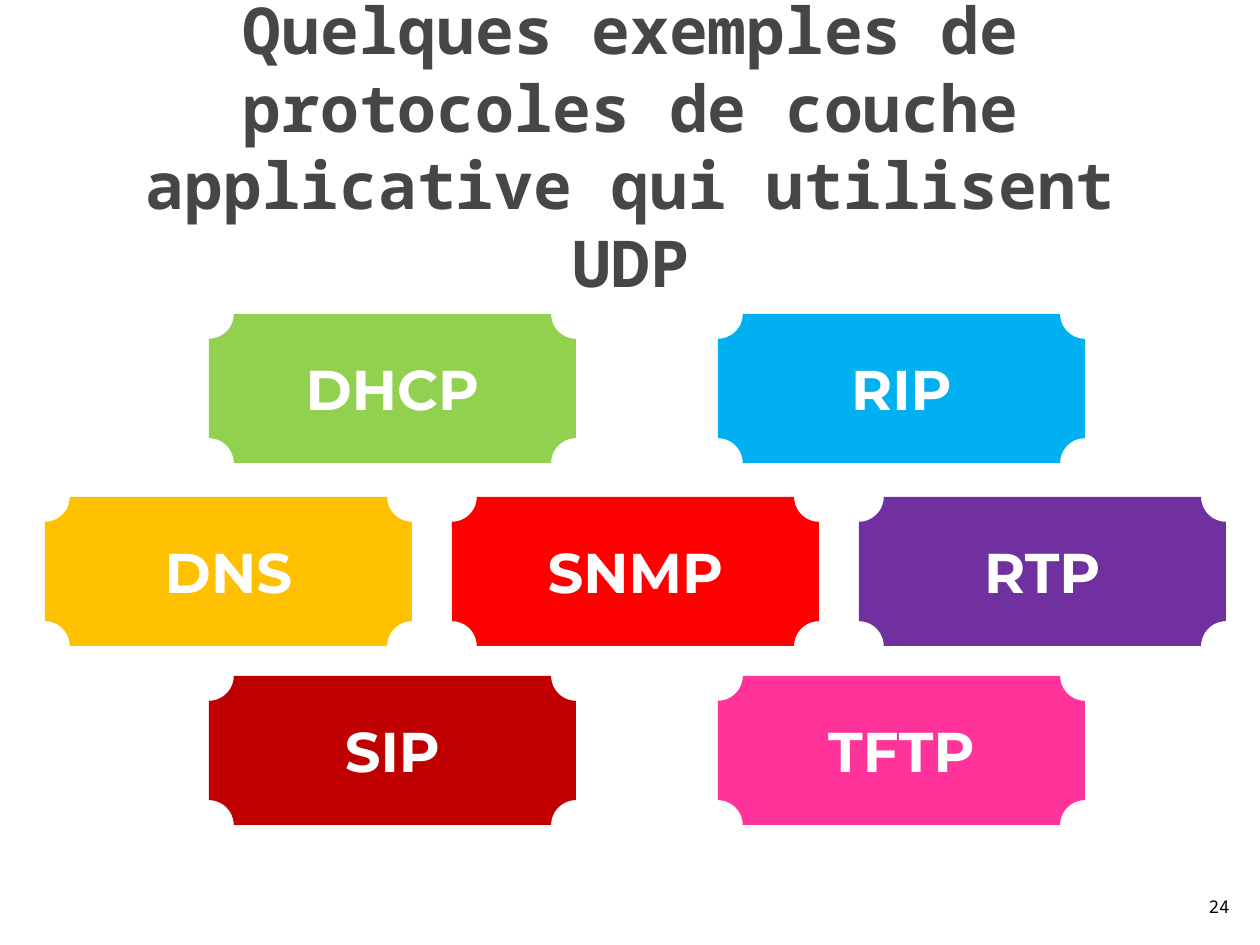
from dataclasses import dataclass

from pptx import Presentation
from pptx.dml.color import RGBColor
from pptx.enum.shapes import MSO_SHAPE
from pptx.enum.text import MSO_ANCHOR, PP_ALIGN
from pptx.util import Pt

PX = 914400 / 126
PLAQUE_W, PLAQUE_H = 367, 149
MONO, SANS = "Noto Sans Mono", "Montserrat"


@dataclass
class Plaque:
    label: str
    color: str


@dataclass
class Row:
    left: int
    top: int
    pitch: int
    plaques: list[Plaque]


ROWS = [
    Row(209, 314, 509, [Plaque("DHCP", "92D050"), Plaque("RIP", "00B0F0")]),
    Row(45, 497, 407, [Plaque("DNS", "FFC000"), Plaque("SNMP", "FF0000"),
                       Plaque("RTP", "7030A0")]),
    Row(209, 676, 509, [Plaque("SIP", "C00000"), Plaque("TFTP", "FF3399")]),
]


def px(*lengths: int) -> list[int]:
    return [round(n * PX) for n in lengths]


def rgb(color: str) -> RGBColor:
    return RGBColor.from_string(color)


def write(sp, text: str, color: str, anchor=MSO_ANCHOR.MIDDLE,
          align=PP_ALIGN.CENTER, **font) -> None:
    tf = sp.text_frame
    tf.word_wrap = True
    tf.vertical_anchor = anchor
    p = tf.paragraphs[0]
    p.alignment = align
    r = p.add_run()
    r.text = text
    r.font.color.rgb = rgb(color)
    for name, value in font.items():
        setattr(r.font, name, value)


def add_plaque(s, plaque: Plaque, left: int, top: int) -> None:
    sp = s.shapes.add_shape(MSO_SHAPE.PLAQUE, *px(left, top, PLAQUE_W, PLAQUE_H))
    sp.shadow.inherit = False
    sp.fill.solid()
    sp.fill.fore_color.rgb = rgb(plaque.color)
    sp.line.fill.background()
    write(sp, plaque.label, "FFFFFF", name=SANS, size=Pt(32), bold=True)


def main() -> None:
    prs = Presentation()
    prs.slide_width, prs.slide_height = px(1260, 945)
    s = prs.slides.add_slide(prs.slide_layouts[6])

    title = s.shapes.add_textbox(*px(64, 66, 1134, 158))
    write(title, "Quelques exemples de protocoles de couche applicative qui utilisent UDP",
          "464646", name=MONO, size=Pt(36.9), bold=True)

    for row in ROWS:
        for i, plaque in enumerate(row.plaques):
            add_plaque(s, plaque, row.left + i * row.pitch, row.top)

    number = s.shapes.add_textbox(*px(1192, 873, 50, 50))
    write(number, "24", "000000", MSO_ANCHOR.BOTTOM, PP_ALIGN.RIGHT,
          name=MONO, size=Pt(10))

    prs.save("out.pptx")


if __name__ == "__main__":
    main()
